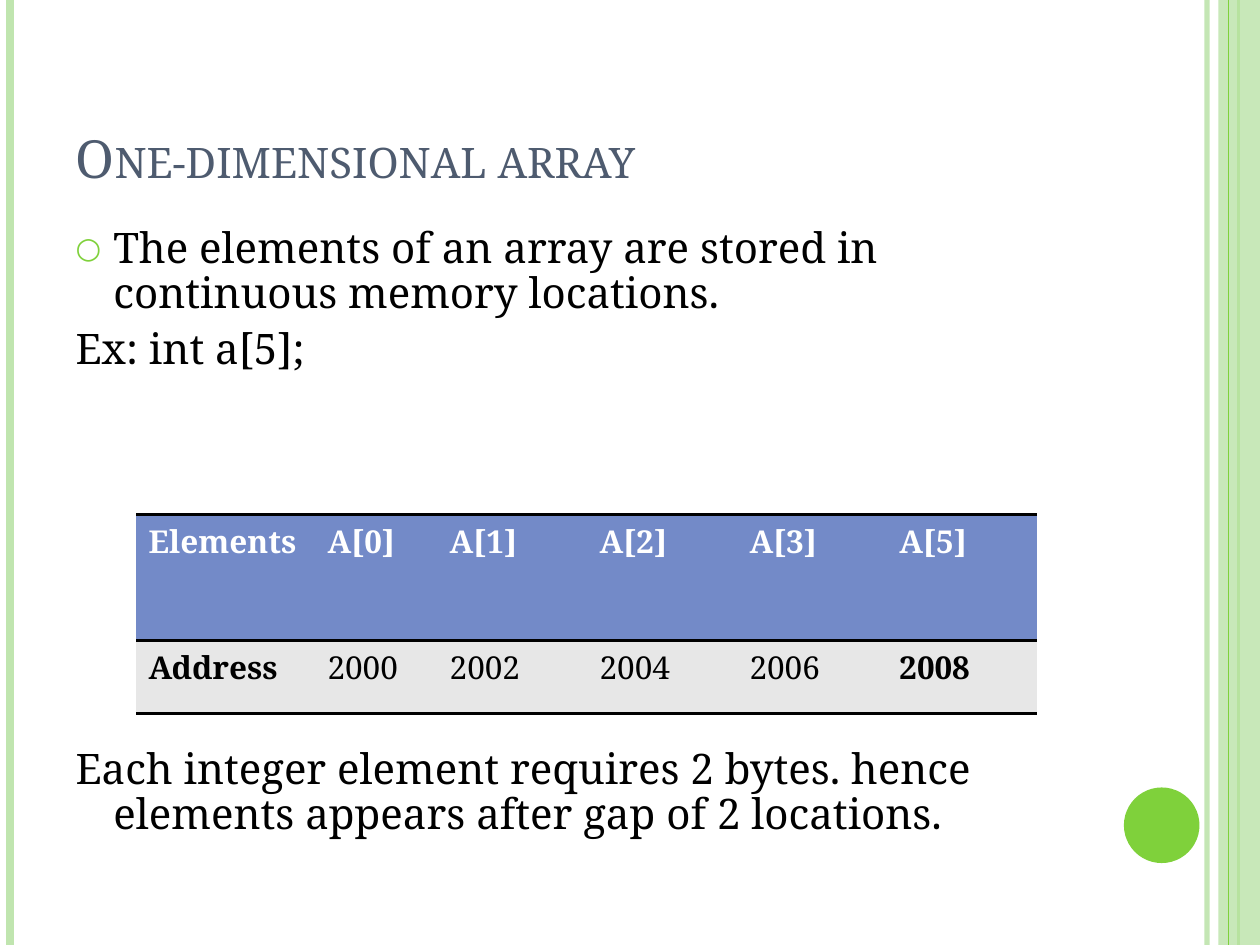
from lxml.etree import SubElement
from pptx import Presentation
from pptx.dml.color import RGBColor
from pptx.enum.shapes import MSO_CONNECTOR as CONN, MSO_SHAPE as SHAPE
from pptx.enum.text import MSO_ANCHOR as ANCHOR, MSO_AUTO_SIZE as AUTO, PP_ALIGN as ALIGN
from pptx.oxml.ns import qn
from pptx.util import Inches, Pt

FONT = "Noto Serif"
COLORS = {"green": "7FD13B", "pale": "C0E5AF", "title": "4E5B6F", "black": "000000",
          "white": "FFFFFF", "header": "738AC8", "row": "E7E7E7"}
NO_STYLE = "{2D5ABB26-0587-4C30-8999-92F81FD0307C}"


def rgb(name):
    """Return the named colour."""
    return RGBColor.from_string(COLORS[name])


def set_alpha(fill_parent, percent):
    """Make the solid fill under an element partly transparent."""
    clr = next(fill_parent.iter(qn("a:srgbClr")))
    SubElement(clr, qn("a:alpha"), val=str(percent * 1000))


def write(p, text, size=24, color="black", bold=False, small_caps=False):
    """Add a formatted run to a paragraph."""
    p.alignment = ALIGN.LEFT
    r = p.add_run()
    r.text = text
    r.font.name, r.font.size, r.font.bold = FONT, Pt(size), bold
    r.font.color.rgb = rgb(color)
    if small_caps:
        r._r.get_or_add_rPr().set("cap", "small")


def add_rule(s, x, width, color, alpha=None):
    """Draw a vertical line over the full slide height."""
    line = s.shapes.add_connector(CONN.STRAIGHT, Inches(x), 0, Inches(x), Inches(7.5))
    line.line.width = Pt(width)
    line.line.color.rgb = rgb(color)
    if alpha:
        set_alpha(line.line._ln, alpha)
    SubElement(line._element.spPr, qn("a:effectLst"))


def add_filled(s, kind, x, y, w, h, color, alpha=None):
    """Add a preset shape without an outline."""
    sp = s.shapes.add_shape(kind, Inches(x), Inches(y), Inches(w), Inches(h))
    sp.shadow.inherit = False
    sp.fill.solid()
    sp.fill.fore_color.rgb = rgb(color)
    sp.line.fill.background()
    if alpha:
        set_alpha(sp._element.spPr, alpha)


def add_frame(s):
    """Draw the green stripes and the circle at the slide edges."""
    add_rule(s, 9.58, 3, "pale", 93)
    add_rule(s, 0.08, 4.5, "pale")
    add_rule(s, 9.83, 1.5, "green")
    add_filled(s, SHAPE.RECTANGLE, 9.67, 0, 0.33, 7.5, "pale", 87)
    add_rule(s, 9.75, 0.75, "green")
    add_filled(s, SHAPE.OVAL, 8.92, 6.25, 0.6, 0.6, "green")


def place(sp, x, y, w, h, anchor):
    """Move a placeholder and return its text frame."""
    sp.left, sp.top, sp.width, sp.height = map(Inches, (x, y, w, h))
    tf = sp.text_frame
    tf.word_wrap, tf.auto_size, tf.vertical_anchor = True, AUTO.NONE, anchor
    return tf


def set_bullet(p, bullet):
    """Give a paragraph a hanging indent and a bullet, or none."""
    pPr = p._p.get_or_add_pPr()
    pPr.set("marL", str(Inches(0.3)))
    pPr.set("indent", str(-Inches(0.3)))
    if not bullet:
        SubElement(pPr, qn("a:buNone"))
        return
    SubElement(SubElement(pPr, qn("a:buClr")), qn("a:srgbClr"), val=COLORS["green"])
    SubElement(pPr, qn("a:buSzPct"), val="70000")
    SubElement(pPr, qn("a:buFont"), typeface=FONT)
    SubElement(pPr, qn("a:buChar"), char=bullet)


def fill_body(tf, items):
    """Write (text, space before, bullet) items as paragraphs."""
    for i, (text, before, bullet) in enumerate(items):
        p = tf.add_paragraph() if i else tf.paragraphs[0]
        p.line_spacing, p.space_before = 0.9, Pt(before)
        set_bullet(p, bullet)
        write(p, text)


def add_border(cell, side):
    """Add a black border to one side of a cell."""
    ln = SubElement(cell._tc.get_or_add_tcPr(), qn("a:" + side), w=str(Pt(2)))
    SubElement(SubElement(ln, qn("a:solidFill")), qn("a:srgbClr"), val=COLORS["black"])


def add_address_table(s, rows):
    """Add the table of elements and their addresses."""
    widths, heights = [1.42, 0.97] + [1.19] * 4, [1, 0.58]
    frame = s.shapes.add_table(len(rows), len(widths), Inches(1.08), Inches(4.08),
                               Inches(sum(widths)), Inches(sum(heights)))
    table = frame.table
    table.first_row = table.horz_banding = False
    table._tbl.tblPr.find(qn("a:tableStyleId")).text = NO_STYLE
    for col, w in zip(table.columns, widths):
        col.width = Inches(w)
    for i, values in enumerate(rows):
        table.rows[i].height = Inches(heights[i])
        for j, value in enumerate(values):
            cell = table.cell(i, j)
            for side in ("lnT", "lnB"):
                add_border(cell, side)
            cell.fill.solid()
            cell.fill.fore_color.rgb = rgb("row" if i else "header")
            write(cell.text_frame.paragraphs[0], value, size=18,
                  color="black" if i else "white",
                  bold=i == 0 or j in (0, len(values) - 1))


def main():
    """Build the slide and save it."""
    prs = Presentation()
    prs.slide_width, prs.slide_height = Inches(10), Inches(7.5)
    s = prs.slides.add_slide(prs.slide_layouts[1])
    add_frame(s)
    title = place(s.shapes.title, 0.5, 0.3, 8.17, 1.25, ANCHOR.BOTTOM)
    write(title.paragraphs[0], "One-dimensional array", size=30, color="title",
          small_caps=True)
    body = place(s.placeholders[1], 0.5, 1.75, 8.17, 5.33, ANCHOR.TOP)
    fill_body(body, [
        ("The elements of an array are stored in continuous memory locations.", 6, "○"),
        ("Ex: int a[5];", 6, None),
        ("Each integer element requires 2 bytes. hence elements appears after gap of "
         "2 locations.", 214, None),
    ])
    add_address_table(s, [
        ["Elements", "A[0]", "A[1]", "A[2]", "A[3]", "A[5]"],
        ["Address", "2000", "2002", "2004", "2006", "2008"],
    ])
    prs.save("out.pptx")


main()
